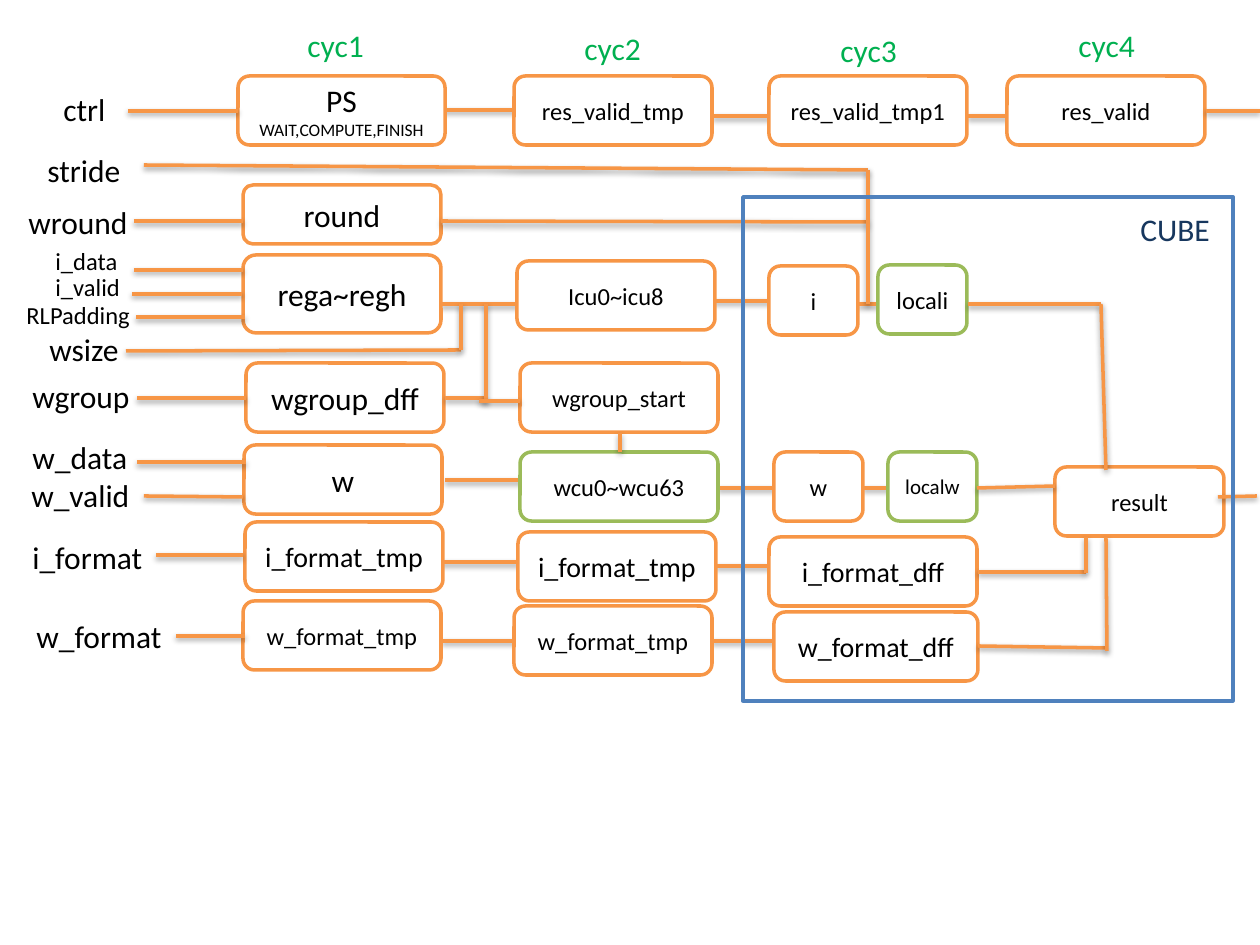
from pptx import Presentation
from pptx.dml.color import RGBColor
from pptx.enum.shapes import MSO_CONNECTOR as Connector, MSO_SHAPE as Shape
from pptx.enum.text import MSO_ANCHOR as Anchor, MSO_AUTO_SIZE as AutoSize, PP_ALIGN as Align
from pptx.util import Emu, Inches, Pt

PIXEL = Inches(1) / 126
COLORS = {"orange": "F79646", "green": "9BBB59", "blue": "4F81BD", "navy": "17375E",
          "cycle": "00B050", "black": "000000", "white": "FFFFFF"}


def px(*lengths):
    return [Emu(round(length * PIXEL)) for length in lengths]


class Diagram:
    font_name = "Calibri"
    line_width = Pt(2)

    def __init__(self, slide):
        self.slide = slide

    def color(self, name):
        return RGBColor.from_string(COLORS[name])

    def style_font(self, font, size, color="black"):
        font.name, font.size = self.font_name, Pt(size)
        font.color.rgb = self.color(color)

    def outline(self, line, color):
        line.color.rgb = self.color(color)
        line.width = self.line_width

    def box(self, text, left, top, size=14, width=198, height=69, color="orange"):
        shape = self.slide.shapes.add_shape(
            Shape.ROUNDED_RECTANGLE, *px(left, top, width, height))
        shape.shadow.inherit = False
        shape.fill.solid()
        shape.fill.fore_color.rgb = self.color("white")
        self.outline(shape.line, color)
        shape.text_frame.vertical_anchor = Anchor.MIDDLE
        paragraph = shape.text_frame.paragraphs[0]
        paragraph.alignment = Align.CENTER
        paragraph.text = text
        self.style_font(paragraph.font, size)
        return paragraph

    def frame(self, left, top, width, height, color):
        shape = self.slide.shapes.add_shape(Shape.RECTANGLE, *px(left, top, width, height))
        shape.shadow.inherit = False
        shape.fill.background()
        self.outline(shape.line, color)

    def wire(self, *ends):
        # The theme's soft shadow is kept on wires
        connector = self.slide.shapes.add_connector(Connector.STRAIGHT, *px(*ends))
        self.outline(connector.line, "orange")

    def label(self, text, left, top, width, size=18, color="black"):
        height = 51 if size == 18 else 42
        shape = self.slide.shapes.add_textbox(*px(left, top, width, height))
        shape.text_frame.word_wrap = False
        shape.text_frame.auto_size = AutoSize.SHAPE_TO_FIT_TEXT
        paragraph = shape.text_frame.paragraphs[0]
        paragraph.text = text
        self.style_font(paragraph.font, size, color)


presentation = Presentation()
presentation.slide_width, presentation.slide_height = Inches(10), Inches(7.5)
diagram = Diagram(presentation.slides.add_slide(presentation.slide_layouts[6]))

# Wires that run under the boxes: left, y, right
for left, y, right in [
    (441, 110, 530), (713, 116, 802), (968, 116, 1057),
    (441, 304, 530), (714, 301, 804), (858, 304, 948),
    (445, 480, 534), (718, 488, 808), (863, 488, 953),
    (441, 562, 530), (442, 641, 532), (716, 566, 779), (712, 641, 775),
]:
    diagram.wire(left, y, right, y)

# First stage
state = diagram.box("PS ", 238, 76, 18, width=207)
states = state.add_run()
states.text = "WAIT,COMPUTE,FINISH"
states.font.size = Pt(10)
diagram.box("round", 243, 185, 18, height=59)
diagram.box("rega~regh", 243, 255, 18, height=78)
diagram.box("wgroup_dff", 246, 363, 18)
diagram.box("w", 244, 445, 18)
diagram.box("i_format_tmp", 245, 522, 16)
diagram.box("w_format_tmp", 243, 601)

# Second stage
diagram.box("res_valid_tmp", 514, 76)
diagram.box("Icu0~icu8", 517, 261)
diagram.box("wgroup_start", 520, 363)
diagram.box("wcu0~wcu63", 520, 452, color="green")
diagram.box("i_format_tmp", 518, 532, 16)
diagram.box("w_format_tmp", 514, 606)

# Third and fourth stages
diagram.box("res_valid_tmp1", 769, 76)
diagram.box("res_valid", 1007, 76)
diagram.box("i", 769, 266, width=89)
diagram.box("locali", 878, 265, width=89, color="green")
diagram.box("w", 774, 452, width=89)
diagram.box("localw", 888, 452, 12, width=89, color="green")
diagram.box("i_format_dff", 769, 537, 16, width=208)
diagram.box("w_format_dff", 774, 612, 16, width=204)
diagram.box("result", 1055, 467, width=169)

# Input wires: left, y, right
for left, y, right in [
    (128, 111, 238), (134, 221, 243), (134, 270, 243), (132, 294, 242),
    (136, 317, 245), (137, 398, 246), (137, 462, 246), (156, 555, 243),
    (176, 636, 245),
]:
    diagram.wire(left, y, right, y)
diagram.wire(144, 496, 243, 497)

# Wires between stages and to the result
for ends in [
    (144, 165, 868, 170), (441, 221, 868, 222), (868, 170, 868, 304),
    (126, 351, 461, 350), (461, 304, 461, 350),
    (445, 398, 486, 398), (486, 304, 486, 403), (479, 401, 520, 401),
    (620, 452, 620, 433),
    (968, 304, 1101, 304), (1101, 304, 1106, 470), (977, 488, 1055, 486),
    (978, 572, 1086, 572), (1086, 537, 1086, 573),
    (978, 646, 1106, 648), (1106, 537, 1107, 651),
    (1206, 111, 1260, 111), (1218, 497, 1257, 496),
]:
    diagram.wire(*ends)

# Cube
diagram.frame(743, 197, 490, 504, "blue")
diagram.label("CUBE", 1128, 204, 96, color="navy")

# Cycle headings
for number, (left, top) in enumerate([(295, 20), (572, 23), (828, 25), (1066, 20)], 1):
    diagram.label(f"cyc{number}", left, top, 82, color="cycle")

# Input names
for name, left, top, width, size in [
    ("ctrl", 51, 84, 68, 18), ("stride", 35, 145, 100, 18), ("wround", 16, 197, 126, 18),
    ("i_data", 43, 240, 88, 14), ("i_valid", 43, 266, 91, 14),
    ("RLPadding", 14, 294, 130, 14), ("wsize", 37, 324, 96, 18),
    ("wgroup", 20, 371, 123, 18), ("w_data", 20, 432, 121, 18),
    ("w_valid", 19, 470, 125, 18), ("i_format", 20, 532, 136, 18),
    ("w_format", 24, 611, 152, 18),
]:
    diagram.label(name, left, top, width, size)

presentation.save("out.pptx")
